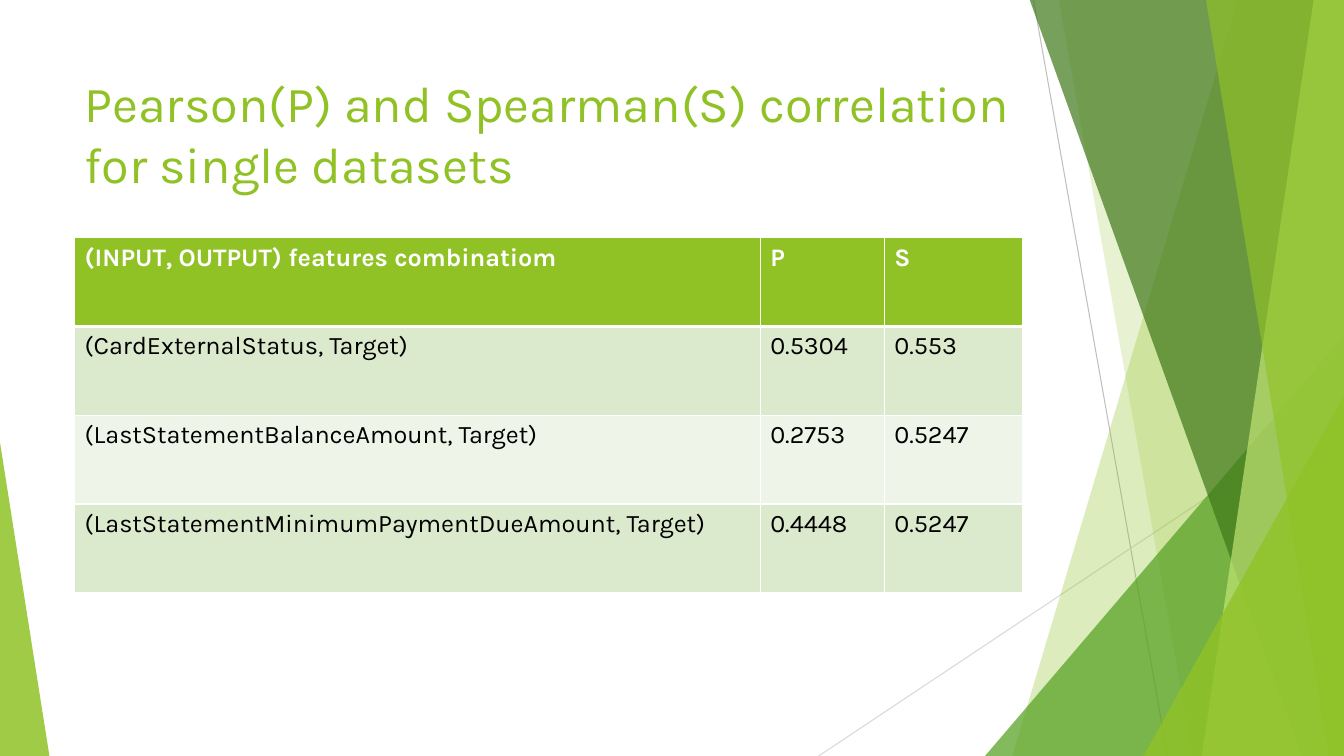
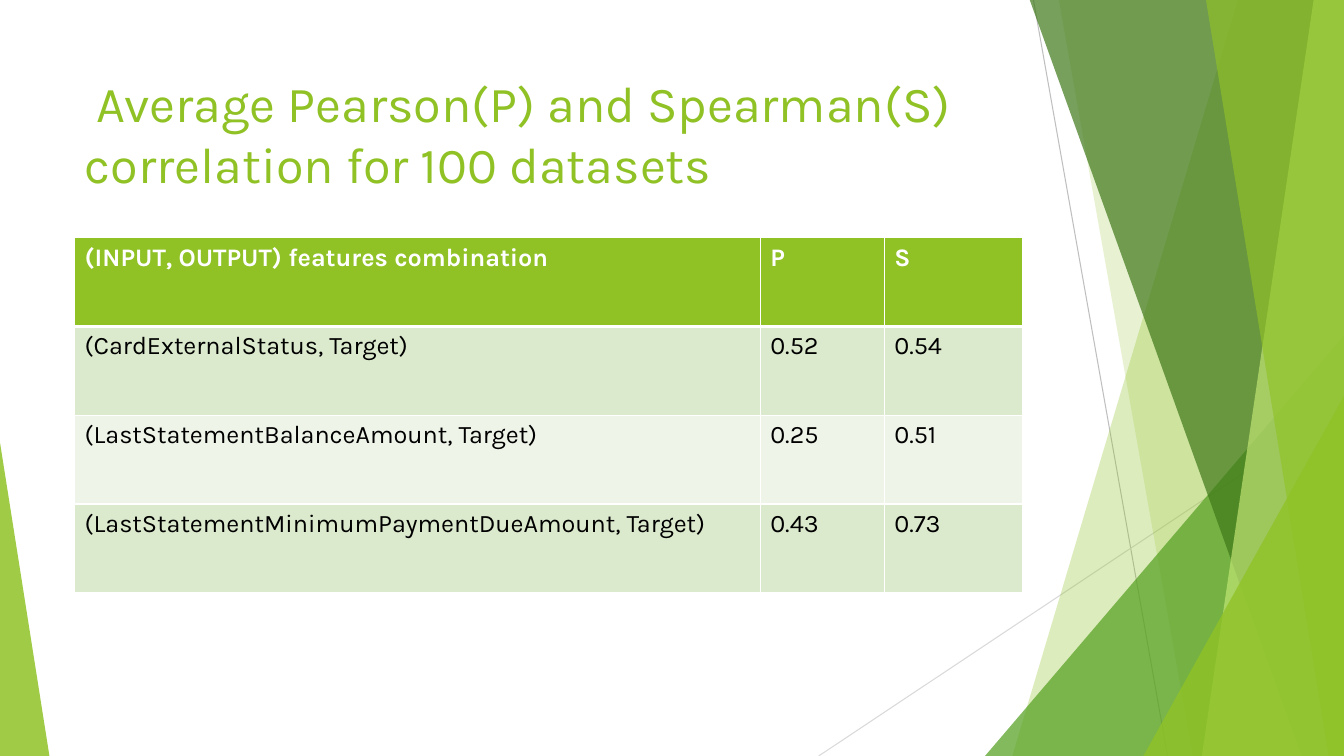
from lxml import etree
from pptx import Presentation
from pptx.dml.color import RGBColor
from pptx.enum.shapes import MSO_CONNECTOR, MSO_SHAPE
from pptx.enum.text import MSO_ANCHOR
from pptx.oxml.ns import qn
from pptx.util import Inches, Pt

STRAIGHT = MSO_CONNECTOR.STRAIGHT
TRIANGLE = MSO_SHAPE.ISOSCELES_TRIANGLE
TOP = MSO_ANCHOR.TOP

FONT = "Karla"
LIME, GREEN, FOREST, PALE_LIME = "90C226", "54A021", "3F7819", "C0E474"
WHITE, BLACK = "FFFFFF", "000000"
ROW_FILLS = ["DBE9CD", "EEF4E8"]
WIDTH, HEIGHT = 13.33, 7.5
LEFT, CONTENT_WIDTH = 0.74, 9.4
COLUMN_WIDTHS = [6.8, 1.23, 1.37]
ROW_HEIGHT = 0.88

# Thin lines: start, end, colour
RAYS = [
    ((10.25, 0), (11.58, HEIGHT), "BFBFBF"),
    ((WIDTH, 4.03), (8.12, HEIGHT), "D9D9D9"),
]
# Facets from back to front. A band runs to the right edge and has its left
# corner at the top and at the bottom; a triangle has a box and an apex.
FACETS = [
    ("band", (12.28, 10.04), LIME, 30),
    ("band", (10.5, 11.83), LIME, 20),
    ("triangle", (9.77, 3.33, 3.56, 4.17, 1), GREEN, 72),
    ("band", (10.21, 12.91), FOREST, 70),
    ("band", (13.03, 11.92), PALE_LIME, 70),
    ("band", (11.96, 13.18), LIME, 65),
    ("triangle", (11.34, 3.93, 1.99, 3.57, 1), LIME, 80),
    ("triangle", (0, 4.39, 0.49, 3.11, 0), LIME, 85),
]

FEATURES = ["CardExternalStatus", "LastStatementBalanceAmount",
            "LastStatementMinimumPaymentDueAmount"]
# Title, heading of the first column, (P, S) for each feature
SLIDES = [
    ("Pearson(P) and Spearman(S) correlation for single datasets",
     "(INPUT, OUTPUT) features combinatiom",
     [("0.5304", "0.553"), ("0.2753", "0.5247"), ("0.4448", "0.5247")]),
    (" Average Pearson(P) and Spearman(S) correlation for 100 datasets",
     "(INPUT, OUTPUT) features combination",
     [("0.52", "0.54"), ("0.25", "0.51"), ("0.43", "0.73")]),
]


def rgb(color):
    """Turn a hex string into a colour."""
    return RGBColor.from_string(color)


def style_text(frame, size, color, bold=False):
    """Format the runs of a text frame."""
    for paragraph in frame.paragraphs:
        for run in paragraph.runs:
            run.font.name = FONT
            run.font.size = Pt(size)
            run.font.bold = bold
            run.font.color.rgb = rgb(color)


prs = Presentation()
prs.slide_width, prs.slide_height = Inches(WIDTH), Inches(HEIGHT)
blank = prs.slide_layouts[6]

for title, heading, correlations in SLIDES:
    slide = prs.slides.add_slide(blank)

    # Faceted background
    for start, end, color in RAYS:
        ray = slide.shapes.add_connector(
            STRAIGHT, *[Inches(v) for v in start + end])
        ray.line.color.rgb = rgb(color)
        ray.line.width = Pt(0.75)
        etree.SubElement(ray._element.spPr, qn("a:effectLst"))

    for kind, geometry, color, opacity in FACETS:
        if kind == "band":
            top_x, bottom_x = geometry
            corners = [(top_x, -0.01), (WIDTH, -0.01),
                       (WIDTH, HEIGHT), (bottom_x, HEIGHT)]
            points = [(Inches(x), Inches(y)) for x, y in corners]
            outline = slide.shapes.build_freeform(*points[0])
            outline.add_line_segments(points[1:], close=True)
            facet = outline.convert_to_shape()
        else:
            *box, apex = geometry
            facet = slide.shapes.add_shape(
                TRIANGLE, *[Inches(v) for v in box])
            facet.adjustments[0] = apex
        facet.shadow.inherit = False
        facet.line.fill.background()
        facet.fill.solid()
        facet.fill.fore_color.rgb = rgb(color)
        tint = facet._element.spPr.find(".//" + qn("a:srgbClr"))
        etree.SubElement(tint, qn("a:alpha"), val=str(opacity * 1000))

    # Title
    title_frame = slide.shapes.add_textbox(
        Inches(LEFT), Inches(0.67),
        Inches(CONTENT_WIDTH), Inches(1.44)).text_frame
    title_frame.word_wrap = True
    title_frame.vertical_anchor = TOP
    title_frame.text = title
    style_text(title_frame, 36, LIME)

    # Correlation table
    rows = [(heading, "P", "S")]
    for feature, (pearson, spearman) in zip(FEATURES, correlations):
        rows.append((f"({feature}, Target)", pearson, spearman))
    table = slide.shapes.add_table(
        len(rows), len(COLUMN_WIDTHS), Inches(LEFT), Inches(2.36),
        Inches(CONTENT_WIDTH), Inches(ROW_HEIGHT * len(rows))).table
    for column, width in zip(table.columns, COLUMN_WIDTHS):
        column.width = Inches(width)
    for r, values in enumerate(rows):
        table.rows[r].height = Inches(ROW_HEIGHT)
        header = r == 0
        fill = LIME if header else ROW_FILLS[(r - 1) % 2]
        edges = {"lnL": 1, "lnR": 1,
                 "lnT": 3 if r == 1 else 1, "lnB": 3 if header else 1}
        for c, value in enumerate(values):
            cell = table.cell(r, c)
            cell.text_frame.text = value
            style_text(cell.text_frame, 18, WHITE if header else BLACK, header)
            properties = cell._tc.get_or_add_tcPr()
            for edge, points in edges.items():
                border = etree.SubElement(
                    properties, qn("a:" + edge), w=str(Pt(points)))
                paint = etree.SubElement(border, qn("a:solidFill"))
                etree.SubElement(paint, qn("a:srgbClr"), val=WHITE)
            cell.fill.solid()
            cell.fill.fore_color.rgb = rgb(fill)

prs.save("out.pptx")
